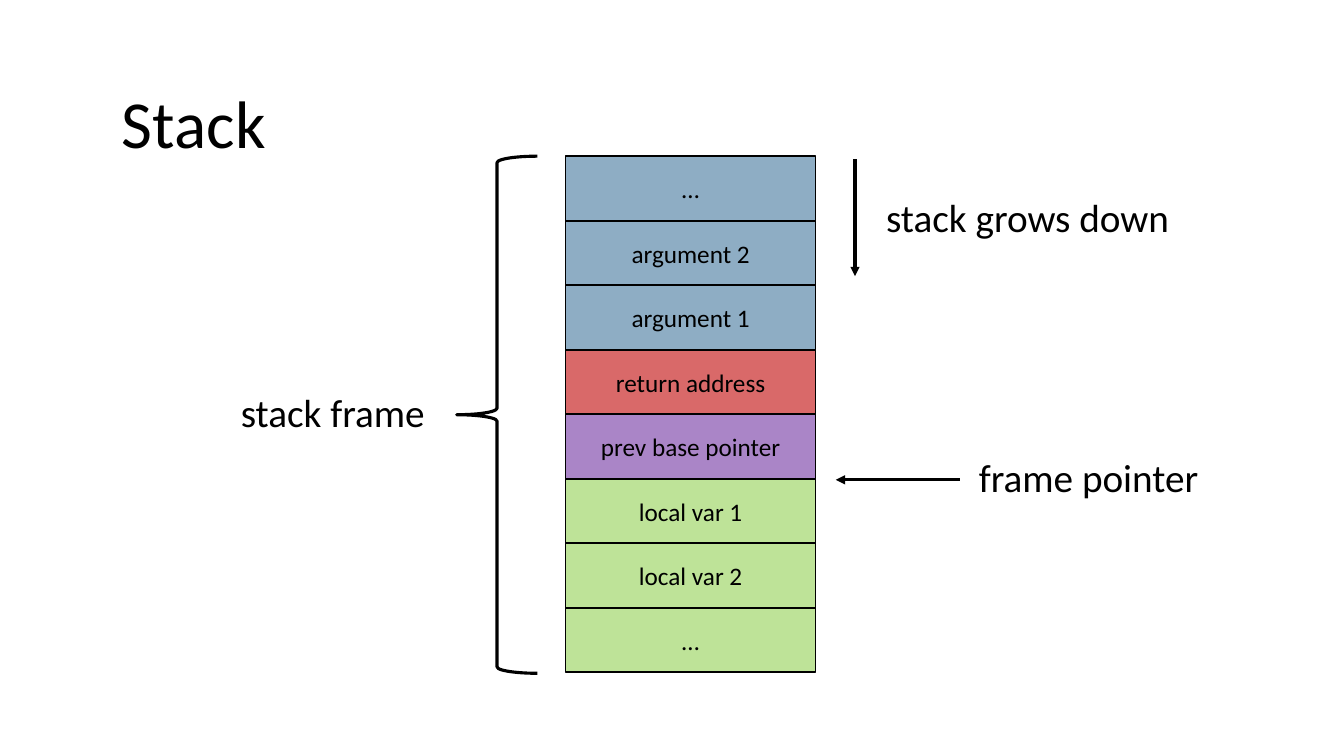
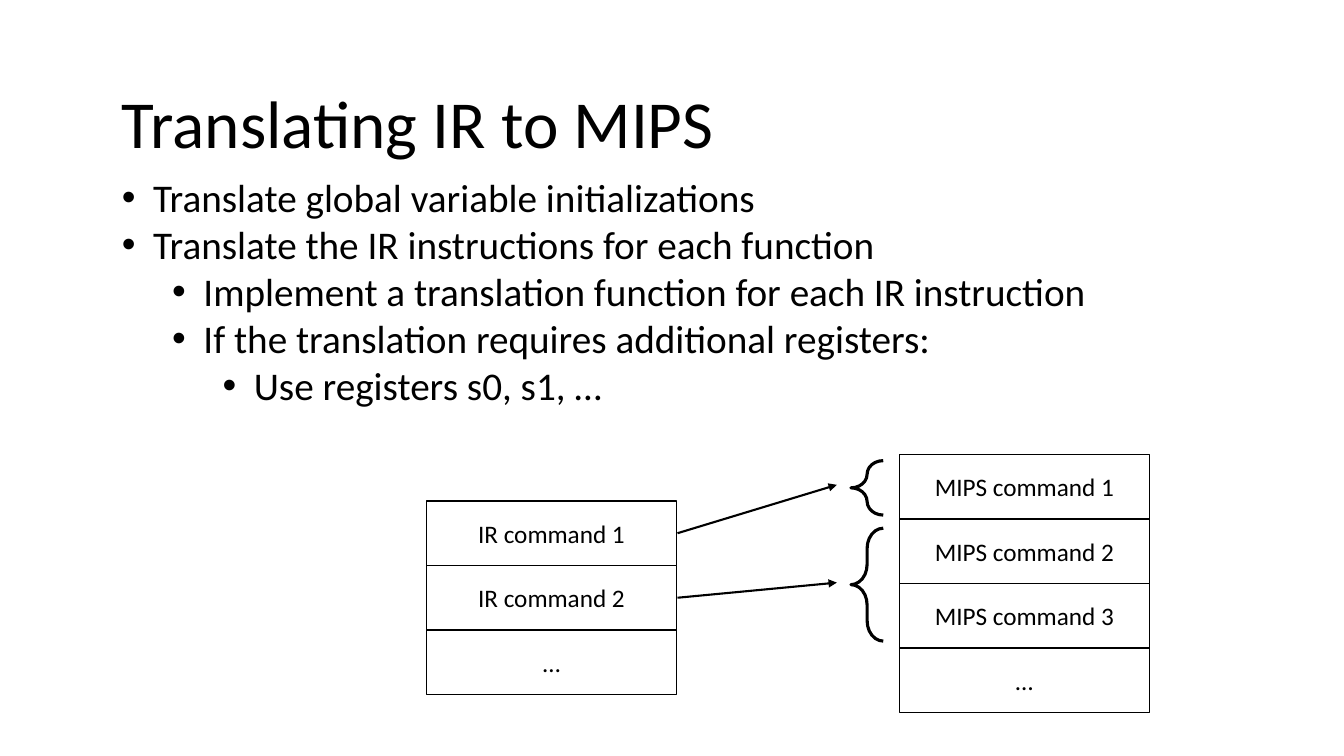
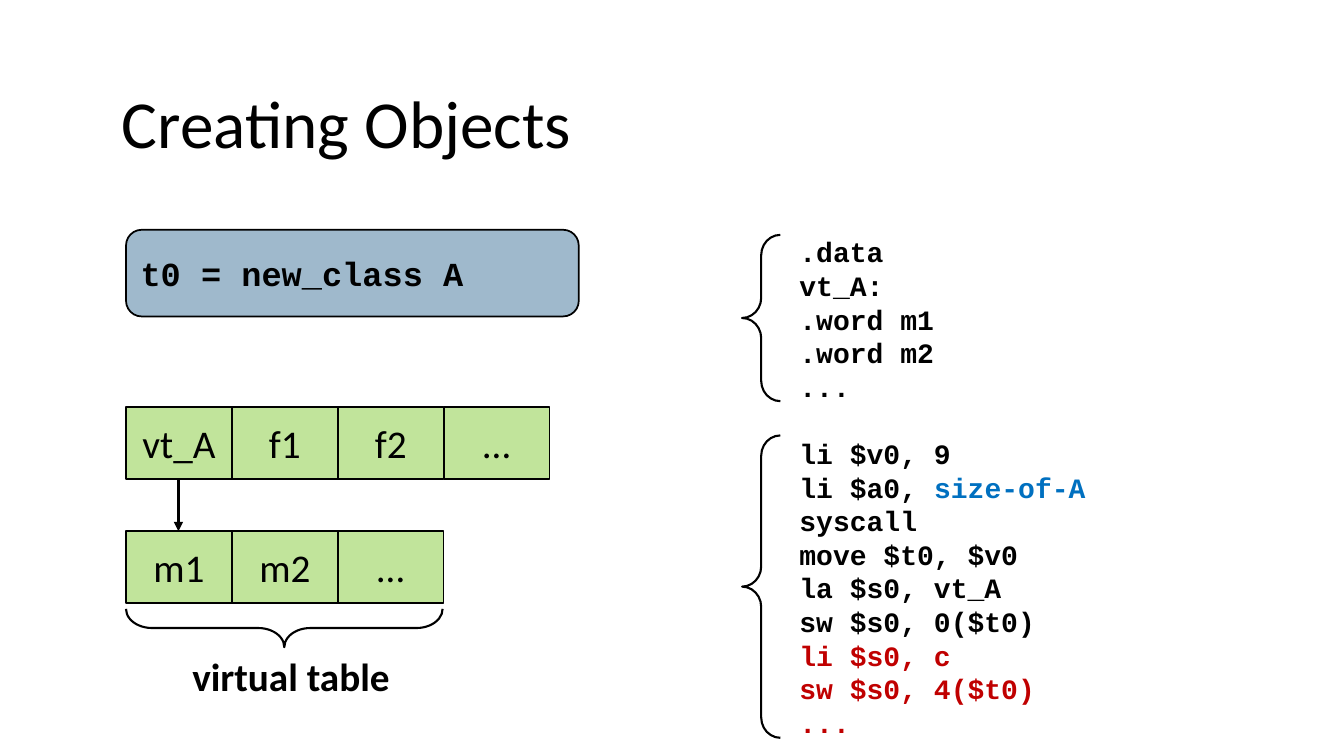
"""Builds three slides on compiling to MIPS: the stack, translation and objects."""
import lxml.etree
import pptx
import pptx.dml.color
import pptx.enum.shapes
import pptx.enum.text
import pptx.oxml.ns
import pptx.util

Inches = pptx.util.Inches
Pt = pptx.util.Pt
qn = pptx.oxml.ns.qn
SHAPE = pptx.enum.shapes.MSO_SHAPE
ALIGN = pptx.enum.text.PP_ALIGN
ANCHOR = pptx.enum.text.MSO_ANCHOR

BODY_FONT = "Calibri"
CODE_FONT = "Courier New"
BLACK, WHITE = "000000", "FFFFFF"
RED, PURPLE, GREEN, STEEL, BLUE = "C00000", "7030A0", "92D050", "40749B", "0070C0"
LINE_FACTOR = 1.2
CELL_LINE = 1.25
ROW_WIDTH, ROW_HEIGHT = 2.48, 0.64
FIELD_WIDTH, FIELD_HEIGHT = 1.05, 0.71


def rgb(color):
    """Return the colour of a hex string."""
    return pptx.dml.color.RGBColor.from_string(color)


def add_child(parent, tag, **attributes):
    """Append an XML element with the given attributes."""
    return lxml.etree.SubElement(parent, qn(tag), attributes)


def format_run(run, size, color=BLACK, font=BODY_FONT, bold=False):
    """Set the font of one run."""
    run.font.name = font
    run.font.size = Pt(size)
    run.font.bold = bold
    run.font.color.rgb = rgb(color)


def format_text(text_frame, size, align=ALIGN.LEFT, **font):
    """Set the font, alignment and line pitch of a whole text frame."""
    for paragraph in text_frame.paragraphs:
        paragraph.alignment = align
        paragraph.line_spacing = Pt(round(size * LINE_FACTOR, 1))
        for run in paragraph.runs:
            format_run(run, size, **font)


def add_titled_slide(presentation, title):
    """Add a slide with the shared title style."""
    slide = presentation.slides.add_slide(presentation.slide_layouts[5])
    shape = slide.shapes.title
    shape.left, shape.top = Inches(1.11), Inches(0.76)
    shape.width, shape.height = Inches(11.09), Inches(0.91)
    text_frame = shape.text_frame
    text_frame.text = title
    text_frame.auto_size = pptx.enum.text.MSO_AUTO_SIZE.NONE
    text_frame.vertical_anchor = ANCHOR.TOP
    format_text(text_frame, 48)
    return slide


def add_text(slide, text, left, top, width, height=0.57, size=28, **font):
    """Add a wrapping text box and return its text frame."""
    box = slide.shapes.add_textbox(Inches(left), Inches(top), Inches(width), Inches(height))
    text_frame = box.text_frame
    text_frame.word_wrap = True
    text_frame.text = text
    format_text(text_frame, size, **font)
    return text_frame


def add_bullets(slide, items, left, top, width, height):
    """Add a bulleted list of (level, text) items."""
    text = "\n".join(text for level, text in items)
    text_frame = add_text(slide, text, left, top, width, height)
    for paragraph, (level, text) in zip(text_frame.paragraphs, items):
        paragraph.level = level
        properties = paragraph._p.get_or_add_pPr()
        properties.set("marL", str(Inches(0.31 + 0.5 * level)))
        properties.set("indent", str(-Inches(0.31)))
        add_child(properties, "a:buFont", typeface="Arial")
        add_child(properties, "a:buChar", char="•")


def add_code(slide, blocks, left, top, width, height, size=20):
    """Add blocks of code, each a list of lines made of (text, colour) pieces."""
    text_frame = add_text(slide, "", left, top, width, height)
    lines = [(line, block > 0 and index == 0)
             for block, content in enumerate(blocks)
             for index, line in enumerate(content)]
    for number, (line, starts_block) in enumerate(lines):
        paragraph = text_frame.add_paragraph() if number else text_frame.paragraphs[0]
        paragraph.line_spacing = Pt(size * LINE_FACTOR)
        if starts_block:
            paragraph.space_before = Pt(size * LINE_FACTOR)
        for text, color in line:
            run = paragraph.add_run()
            run.text = text
            format_run(run, size, color, CODE_FONT, True)


def add_outlined(shapes, kind, left, top, width, height, line_width):
    """Add an unfilled preset shape with a black outline."""
    shape = shapes.add_shape(kind, Inches(left), Inches(top), Inches(width), Inches(height))
    shape.shadow.inherit = False
    shape.fill.background()
    shape.line.color.rgb = rgb(BLACK)
    shape.line.width = Pt(line_width)
    return shape


def add_brace(slide, left, top, width, height, curve=0.08, line_width=2.25, rotation=0):
    """Add a left brace."""
    brace = add_outlined(slide.shapes, SHAPE.LEFT_BRACE, left, top, width, height, line_width)
    brace.adjustments[0] = curve
    brace.rotation = rotation


def fill_shape(shape, color, opacity):
    """Fill a shape with a colour at an opacity in percent."""
    shape.fill.solid()
    shape.fill.fore_color.rgb = rgb(color)
    if opacity < 100:
        element = shape._element.spPr.find(qn("a:solidFill")).find(qn("a:srgbClr"))
        add_child(element, "a:alpha", val=str(opacity * 1000))


def add_cells(slide, cells, left, top, width, height, size, opacity=100, across=False):
    """Add a grouped row or column of touching (label, colour) cells."""
    group = slide.shapes.add_group_shape()
    for index, (label, color) in enumerate(cells):
        x = left + index * width if across else left
        y = top if across else top + index * height
        cell = add_outlined(group.shapes, SHAPE.RECTANGLE, x, y, width, height, CELL_LINE)
        fill_shape(cell, color, opacity)
        cell.text_frame.text = label
        format_text(cell.text_frame, size, ALIGN.CENTER)


def add_arrow(slide, start, end, width=2.25):
    """Add a straight arrow between two points."""
    points = [Inches(value) for value in (*start, *end)]
    arrow = slide.shapes.add_connector(pptx.enum.shapes.MSO_CONNECTOR.STRAIGHT, *points)
    arrow.line.color.rgb = rgb(BLACK)
    arrow.line.width = Pt(width)
    add_child(arrow.line._get_or_add_ln(), "a:tailEnd", type="triangle")
    add_child(arrow._element.spPr, "a:effectLst")


def add_stack_slide(presentation):
    """Show the layout of a stack frame."""
    slide = add_titled_slide(presentation, "Stack")
    cells = [("…", STEEL), ("argument 2", STEEL), ("argument 1", STEEL),
             ("return address", RED), ("prev base pointer", PURPLE),
             ("local var 1", GREEN), ("local var 2", GREEN), ("…", GREEN)]
    add_cells(slide, cells, 5.61, 1.55, ROW_WIDTH, ROW_HEIGHT, 18, 59)
    add_text(slide, "frame pointer", 9.61, 4.45, 2.92)
    add_text(slide, "stack frame", 2.29, 3.8, 2.45)
    add_text(slide, "stack grows down", 8.69, 1.87, 3.25)
    add_brace(slide, 4.53, 1.55, 0.8, 5.13)
    add_arrow(slide, (9.52, 4.76), (8.29, 4.76))
    add_arrow(slide, (8.48, 1.58), (8.48, 2.74))


def add_translation_slide(presentation):
    """Show how IR commands map to MIPS commands."""
    slide = add_titled_slide(presentation, "Translating IR to MIPS")
    items = [(0, "Translate global variable initializations"),
             (0, "Translate the IR instructions for each function"),
             (1, "Implement a translation function for each IR instruction"),
             (1, "If the translation requires additional registers:"),
             (2, "Use registers s0, s1, …")]
    add_bullets(slide, items, 1.11, 1.67, 11.27, 3.4)
    columns = [(4.23, 4.97, ["IR command 1", "IR command 2", "…"]),
               (8.92, 4.51, ["MIPS command 1", "MIPS command 2", "MIPS command 3", "…"])]
    for left, top, labels in columns:
        cells = [(label, WHITE) for label in labels]
        add_cells(slide, cells, left, top, ROW_WIDTH, ROW_HEIGHT, 18)
    for start_y, end_y, brace_top, brace_height in [(5.29, 4.81, 4.57, 0.54),
                                                    (5.93, 5.78, 5.24, 1.12)]:
        add_arrow(slide, (6.72, start_y), (8.3, end_y), 1.5)
        add_brace(slide, 8.44, brace_top, 0.32, brace_height, 0.63)


def add_objects_slide(presentation):
    """Show the memory and code behind object creation."""
    slide = add_titled_slide(presentation, "Creating Objects")
    data = [".data", "vt_A:", ".word m1", ".word m2", "..."]
    setup = ["syscall", "move $t0, $v0", "la $s0, vt_A", "sw $s0, 0($t0)"]
    field = ["li $s0, c", "sw $s0, 4($t0)", "..."]
    instructions = [[("li $v0, 9", BLACK)],
                    [("li $a0, ", BLACK), ("size-of-A", BLUE)],
                    *([(line, BLACK)] for line in setup),
                    *([(line, RED)] for line in field)]
    blocks = [[[(line, BLACK)] for line in data], instructions]
    add_code(slide, blocks, 7.83, 2.28, 5.31, 5.15)
    for top, height in [(2.33, 1.65), (4.32, 3)]:
        add_brace(slide, 7.36, top, 0.38, height, 0.53, 1.5)

    command = add_outlined(slide.shapes, SHAPE.ROUNDED_RECTANGLE, 1.25, 2.28, 4.49, 0.86, CELL_LINE)
    command.adjustments[0] = 0.18
    fill_shape(command, STEEL, 50)
    command.text_frame.text = "t0 = new_class A"
    format_text(command.text_frame, 24, font=CODE_FONT, bold=True)

    for top, labels in [(4.04, ["vt_A", "f1", "f2", "…"]), (5.27, ["m1", "m2", "…"])]:
        cells = [(label, GREEN) for label in labels]
        add_cells(slide, cells, 1.25, top, FIELD_WIDTH, FIELD_HEIGHT, 28, 57, across=True)
    add_arrow(slide, (1.77, 4.76), (1.77, 5.27))
    add_brace(slide, 2.63, 4.66, 0.38, 3.14, 0.68, 1.5, rotation=270)
    add_text(slide, "virtual table", 1.81, 6.42, 2.86, bold=True)


def main():
    """Build and save the presentation."""
    presentation = pptx.Presentation()
    presentation.slide_width = Inches(13.33)
    presentation.slide_height = Inches(7.5)
    add_stack_slide(presentation)
    add_translation_slide(presentation)
    add_objects_slide(presentation)
    presentation.save("out.pptx")


if __name__ == "__main__":
    main()
